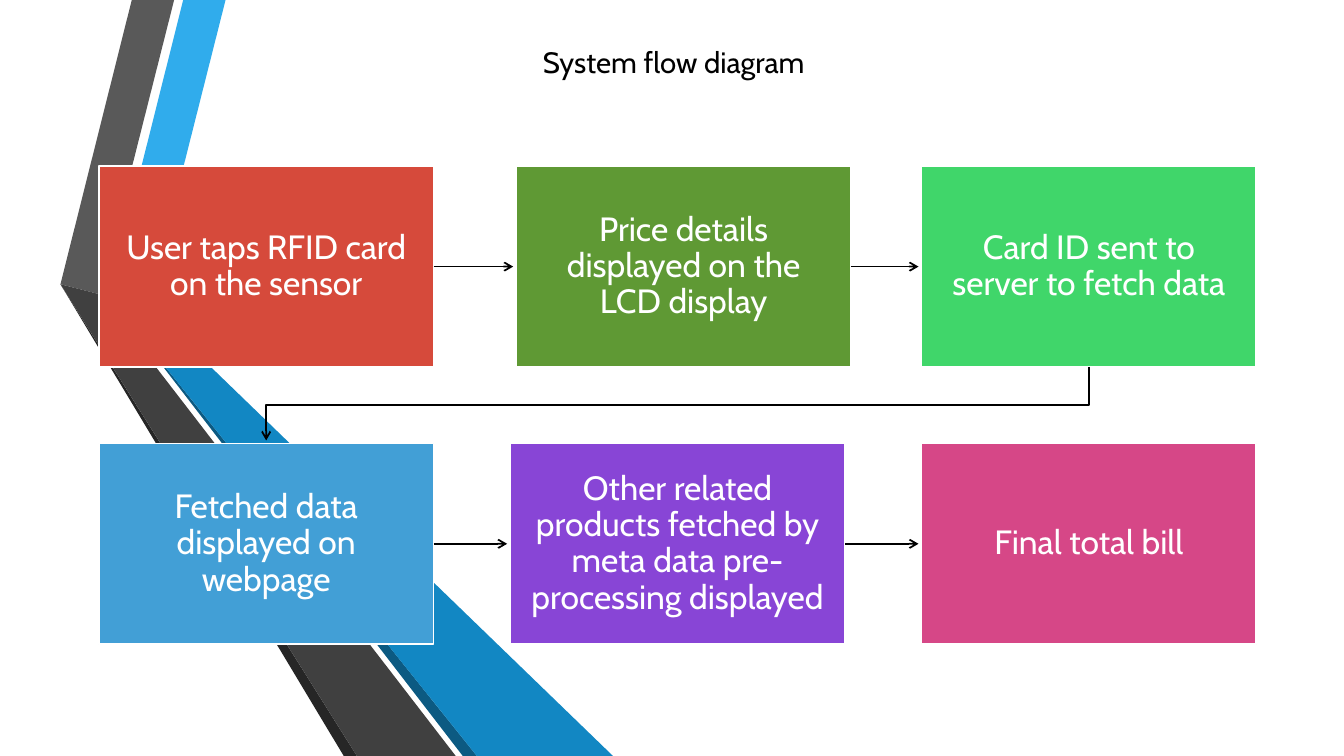
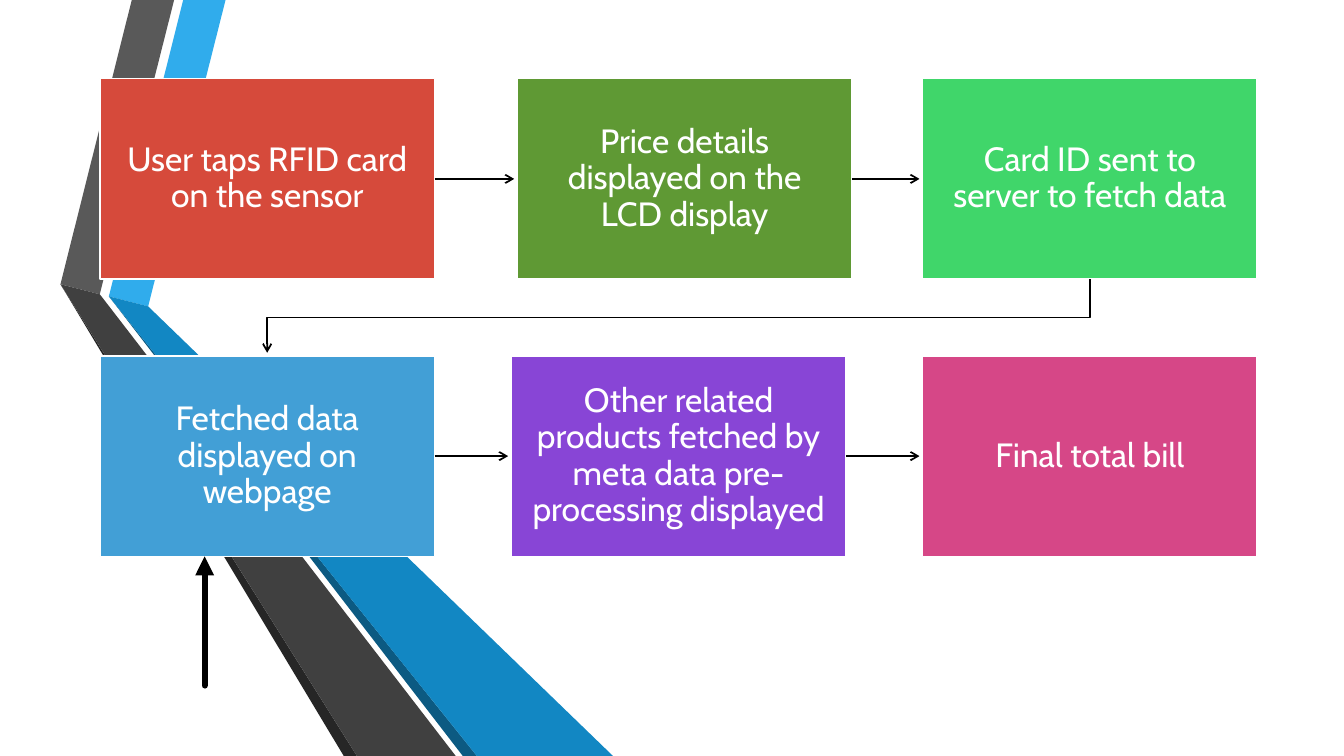
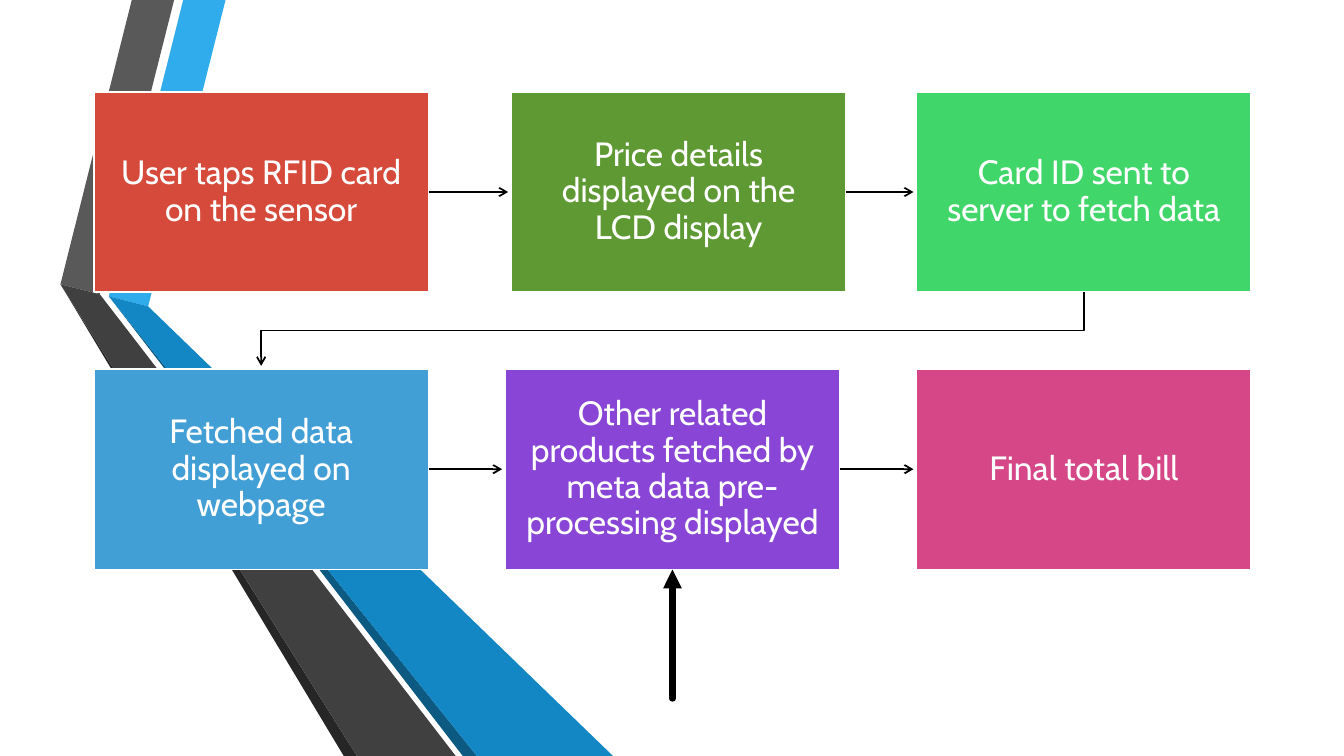
import lxml.etree
import pptx
import pptx.dml.color
import pptx.enum.shapes
import pptx.enum.text
import pptx.oxml.ns
import pptx.util

SCALE = 9144
SLIDE_WIDTH, SLIDE_HEIGHT = 1333, 750
FONT = "Cabin"
BLACK, WHITE = "000000", "FFFFFF"
TITLE_ONLY, BLANK = 5, 6
TOP, LEFT, BOTTOM, RIGHT = range(4)

BANDS = [
    ("30ACEC", [(108, 294), (147, 304), (224, -1), (182, -1)]),
    ("595959", [(99, 292), (173, -1), (131, -1), (60, 282)]),
    ("262626", [(60, 282), (341, 750), (354, 750)]),
    ("0C5A82", [(108, 294), (459, 750), (473, 750)]),
    ("1287C3", [(108, 294), (473, 750), (608, 750), (147, 304)]),
    ("404040", [(60, 282), (354, 750), (452, 750), (106, 301), (99, 292)]),
]

STEP_WIDTH, STEP_HEIGHT = 332, 199
STEP_INSET = 19
ROW_PITCH = 275
ARROW_GAP = 3
FLOW_ROWS = [
    [
        (0, "D64A3B", "User taps RFID card on the sensor"),
        (414, "5F9934", "Price details displayed on the LCD display"),
        (816, "40D66A", "Card ID sent to server to fetch data"),
    ],
    [
        (0, "429FD6", "Fetched data displayed on webpage"),
        (408, "8845D6", "Other related products fetched by meta data pre-processing displayed"),
        (816, "D64787", "Final total bill"),
    ],
]


def px(length):
    return pptx.util.Emu(round(length * SCALE))


def color(value):
    return pptx.dml.color.RGBColor.from_string(value)


def set_text(shape, text, size, font_color, alignment, anchor, inset=None, line_spacing=None):
    frame = shape.text_frame
    frame.word_wrap = True
    frame.auto_size = pptx.enum.text.MSO_AUTO_SIZE.NONE
    frame.vertical_anchor = anchor
    if inset is not None:
        frame.margin_left = frame.margin_right = px(inset)
        frame.margin_top = frame.margin_bottom = px(inset)
    paragraph = frame.paragraphs[0]
    paragraph.alignment = alignment
    paragraph.line_spacing = line_spacing
    run = paragraph.add_run()
    run.text = text
    run.font.name = FONT
    run.font.size = pptx.util.Pt(size)
    run.font.color.rgb = color(font_color)


def add_master_bands(presentation, slide):
    tree = presentation.slide_master.element.cSld.spTree
    for index, (fill, points) in enumerate(BANDS):
        builder = slide.shapes.build_freeform(*points[0], scale=SCALE)
        builder.add_line_segments(points[1:], close=True)
        band = builder.convert_to_shape()
        band.shadow.inherit = False
        band.fill.solid()
        band.fill.fore_color.rgb = color(fill)
        band.line.fill.background()
        band.element.nvSpPr.cNvPr.id = 100 + index
        tree.insert(2 + index, band.element)


def set_title(slide, text):
    title = slide.shapes.title
    title.left, title.top, title.width, title.height = px(300), px(39), px(508), px(60)
    set_text(title, text, size=21, font_color=BLACK,
             alignment=pptx.enum.text.PP_ALIGN.RIGHT,
             anchor=pptx.enum.text.MSO_ANCHOR.TOP)


def add_step(slide, left, top, fill, text):
    step = slide.shapes.add_shape(pptx.enum.shapes.MSO_SHAPE.RECTANGLE,
                                  px(left), px(top), px(STEP_WIDTH), px(STEP_HEIGHT))
    step.shadow.inherit = False
    step.fill.solid()
    step.fill.fore_color.rgb = color(fill)
    step.line.color.rgb = color(WHITE)
    step.line.width = pptx.util.Pt(1.25)
    set_text(step, text, size=24, font_color=WHITE,
             alignment=pptx.enum.text.PP_ALIGN.CENTER,
             anchor=pptx.enum.text.MSO_ANCHOR.MIDDLE,
             inset=STEP_INSET, line_spacing=0.9)
    return step


def add_arrow(slide, start, end, width=1.25, head="arrow", cap="flat",
              kind=pptx.enum.shapes.MSO_CONNECTOR.STRAIGHT):
    arrow = slide.shapes.add_connector(kind, px(start[0]), px(start[1]), px(end[0]), px(end[1]))
    arrow.line.color.rgb = color(BLACK)
    arrow.line.width = pptx.util.Pt(width)
    qn = pptx.oxml.ns.qn
    properties = arrow.element.spPr
    line = properties.find(qn("a:ln"))
    line.set("cap", cap)
    lxml.etree.SubElement(line, qn("a:tailEnd"), type=head)
    lxml.etree.SubElement(properties, qn("a:effectLst"))
    return arrow


def add_return_arrow(slide, start, end, bend):
    center_x, center_y = (start[0] + end[0]) / 2, (start[1] + end[1]) / 2
    half_drop, half_run = (end[1] - start[1]) / 2, (start[0] - end[0]) / 2
    arrow = add_arrow(slide, (center_x - half_drop, center_y - half_run),
                      (center_x + half_drop, center_y + half_run),
                      kind=pptx.enum.shapes.MSO_CONNECTOR.ELBOW)
    qn = pptx.oxml.ns.qn
    properties = arrow.element.spPr
    properties.get_or_add_xfrm().rot = 90
    adjustments = properties.find(qn("a:prstGeom")).find(qn("a:avLst"))
    lxml.etree.SubElement(adjustments, qn("a:gd"), name="adj1", fmla=f"val {bend * 1000}")


def add_flow(slide, left, top):
    rows = []
    for row_index, row in enumerate(FLOW_ROWS):
        row_top = top + row_index * ROW_PITCH
        middle = row_top + STEP_HEIGHT / 2
        steps = [add_step(slide, left + offset, row_top, fill, text)
                 for offset, fill, text in row]
        for step, (offset, _, _), (next_offset, _, _) in zip(steps, row, row[1:]):
            arrow = add_arrow(slide, (left + offset + STEP_WIDTH, middle),
                              (left + next_offset - ARROW_GAP, middle))
            arrow.begin_connect(step, RIGHT)
        rows.append(steps)
    center = left + STEP_WIDTH / 2
    add_return_arrow(slide, (center + FLOW_ROWS[0][-1][0], top + STEP_HEIGHT),
                     (center, top + ROW_PITCH - ARROW_GAP), bend=52)
    return rows


def add_pointer(slide, x, tip):
    return add_arrow(slide, (x, tip + 128), (x, tip), width=4.5, head="triangle", cap="rnd")


def main():
    presentation = pptx.Presentation()
    presentation.slide_width, presentation.slide_height = px(SLIDE_WIDTH), px(SLIDE_HEIGHT)
    layouts = presentation.slide_layouts

    overview = presentation.slides.add_slide(layouts[TITLE_ONLY])
    add_master_bands(presentation, overview)
    set_title(overview, "System flow diagram")
    add_flow(overview, 98, 165)

    webpage = presentation.slides.add_slide(layouts[BLANK])
    add_flow(webpage, 99, 78)
    add_pointer(webpage, 203, 552)

    related = presentation.slides.add_slide(layouts[BLANK])
    rows = add_flow(related, 93, 91)
    pointer = add_pointer(related, 667, 565)
    pointer.end_connect(rows[1][1], BOTTOM)

    presentation.save("out.pptx")


if __name__ == "__main__":
    main()
